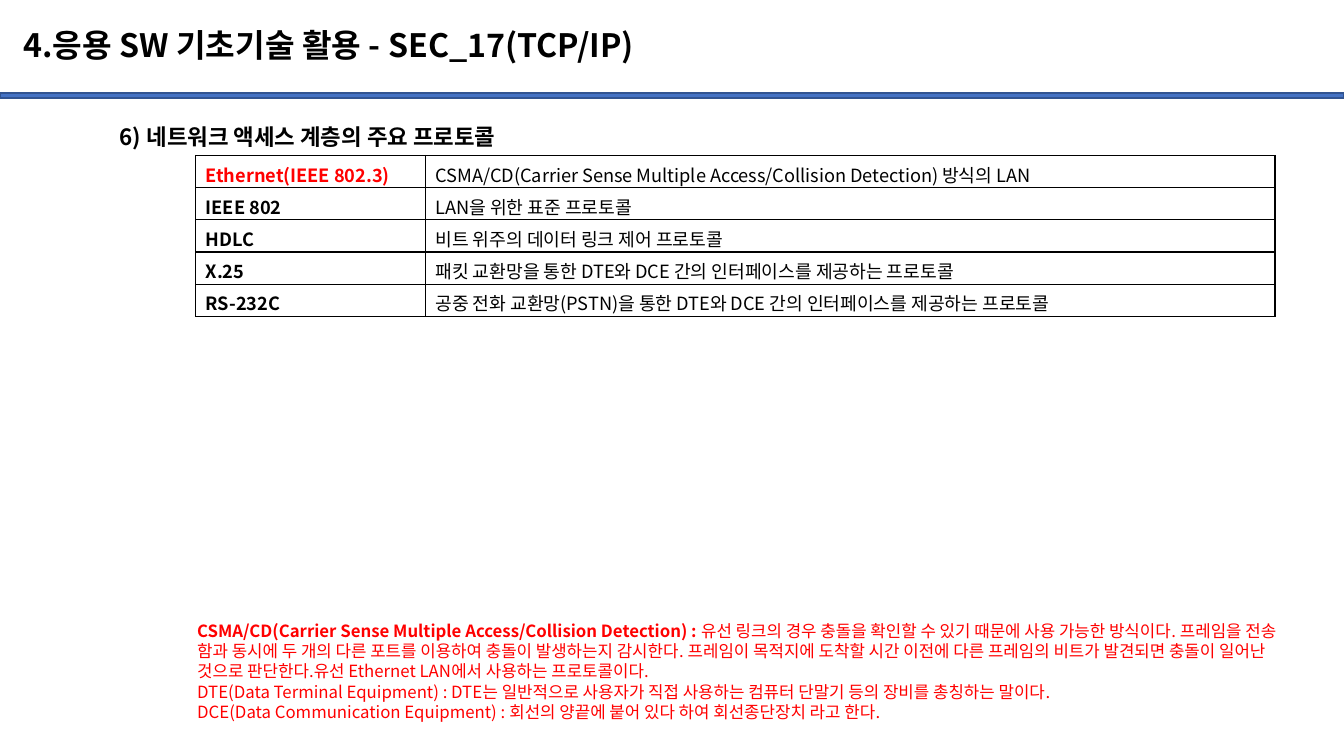
from lxml.etree import SubElement
from pptx import Presentation
from pptx.dml.color import RGBColor
from pptx.enum.shapes import MSO_SHAPE
from pptx.enum.text import MSO_ANCHOR, PP_ALIGN
from pptx.oxml.ns import qn
from pptx.util import Cm, Pt

# Content
TITLE = "4.응용 SW 기초기술 활용 - SEC_17(TCP/IP)"
HEADING = "6) 네트워크 액세스 계층의 주요 프로토콜"
PROTOCOLS = [
    ("Ethernet(IEEE 802.3)", "CSMA/CD(Carrier Sense Multiple Access/Collision Detection) 방식의 LAN"),
    ("IEEE 802", "LAN을 위한 표준 프로토콜"),
    ("HDLC", "비트 위주의 데이터 링크 제어 프로토콜"),
    ("X.25", "패킷 교환망을 통한 DTE와 DCE 간의 인터페이스를 제공하는 프로토콜"),
    ("RS-232C", "공중 전화 교환망(PSTN)을 통한 DTE와 DCE 간의 인터페이스를 제공하는 프로토콜"),
]
# Each note is a bold term followed by plain text
NOTES = [
    ("CSMA/CD(Carrier Sense Multiple Access/Collision Detection) : ",
     "유선 링크의 경우 충돌을 확인할 수 있기 때문에 사용 가능한 방식이다. "
     "프레임을 전송 함과 동시에 두 개의 다른 포트를 이용하여 충돌이 발생하는지 감시한다. "
     "프레임이 목적지에 도착할 시간 이전에 다른 프레임의 비트가 발견되면 충돌이 일어난 것으로 판단한다."
     "유선 Ethernet LAN에서 사용하는 프로토콜이다."),
    ("", "DTE(Data Terminal Equipment) : DTE는 일반적으로 사용자가 직접 사용하는 "
         "컴퓨터 단말기 등의 장비를 총칭하는 말이다."),
    ("", "DCE(Data Communication Equipment) : 회선의 양끝에 붙어 있다 하여 회선종단장치 라고 한다."),
]

# Format
FONT = "Noto Sans CJK KR"
BLACK = RGBColor(0x00, 0x00, 0x00)
RED = RGBColor(0xFF, 0x00, 0x00)
BLUE = RGBColor(0x44, 0x72, 0xC4)
DARK_BLUE = RGBColor(0x32, 0x54, 0x91)
COLUMN_WIDTHS = (Cm(5.79), Cm(21.41))
ROW_HEIGHT = Cm(0.81)


def write(paragraph, text, size=13, color=BLACK, bold=False, spacing=1.0):
    paragraph.alignment = PP_ALIGN.LEFT
    paragraph.line_spacing = spacing
    run = paragraph.add_run()
    run.text = text
    font = run.font
    font.name, font.size, font.bold = FONT, Pt(size), bold
    font.color.rgb = color
    SubElement(run._r.get_or_add_rPr(), qn("a:ea"), typeface=FONT)


def add_text_frame(left, top, width, height):
    frame = slide.shapes.add_textbox(left, top, width, height).text_frame
    frame.word_wrap = True
    return frame


def border(cell):
    for side in ("a:lnL", "a:lnR", "a:lnT", "a:lnB"):
        line = SubElement(cell._tc.get_or_add_tcPr(), qn(side), w=str(Pt(1)))
        fill = SubElement(line, qn("a:solidFill"))
        SubElement(fill, qn("a:srgbClr"), val=str(BLACK))


prs = Presentation()
prs.slide_width, prs.slide_height = Cm(33.87), Cm(19.05)
slide = prs.slides.add_slide(prs.slide_layouts[5])

# Title and the bar under it
title = slide.shapes.title
title.left, title.top, title.width, title.height = Cm(0.33), Cm(0.25), Cm(32.2), Cm(1.88)
title.text_frame.vertical_anchor = MSO_ANCHOR.MIDDLE
write(title.text_frame.paragraphs[0], TITLE, size=23, bold=True, spacing=0.9)

bar = slide.shapes.add_shape(MSO_SHAPE.RECTANGLE, 0, Cm(2.34), prs.slide_width, Cm(0.13))
bar.shadow.inherit = False
bar.fill.solid()
bar.fill.fore_color.rgb = BLUE
bar.line.color.rgb = DARK_BLUE
bar.line.width = Pt(1)

# Section heading
heading = add_text_frame(Cm(2.77), Cm(2.64), Cm(30.56), Cm(1.2))
write(heading.paragraphs[0], HEADING, size=16, bold=True, spacing=1.5)

# Protocol table
protocols = slide.shapes.add_table(
    len(PROTOCOLS), len(COLUMN_WIDTHS), Cm(4.93), Cm(3.92),
    sum(COLUMN_WIDTHS), ROW_HEIGHT * len(PROTOCOLS)).table
protocols.first_row = protocols.horz_banding = False
for column, width in zip(protocols.columns, COLUMN_WIDTHS):
    column.width = width
for r, entry in enumerate(PROTOCOLS):
    protocols.rows[r].height = ROW_HEIGHT
    for c, text in enumerate(entry):
        cell = protocols.cell(r, c)
        cell.vertical_anchor = MSO_ANCHOR.MIDDLE
        cell.margin_top, cell.margin_bottom = Cm(0.13), 0
        border(cell)
        cell.fill.background()
        is_name = c == 0
        write(cell.text_frame.paragraphs[0], text, bold=is_name,
              color=RED if is_name and r == 0 else BLACK)

# Notes on the terms
notes = add_text_frame(Cm(4.72), Cm(15.52), Cm(28.19), Cm(2.82))
for i, (term, explanation) in enumerate(NOTES):
    paragraph = notes.add_paragraph() if i else notes.paragraphs[0]
    if term:
        write(paragraph, term, size=12, color=RED, bold=True)
    write(paragraph, explanation, size=12, color=RED)

prs.save("out.pptx")
